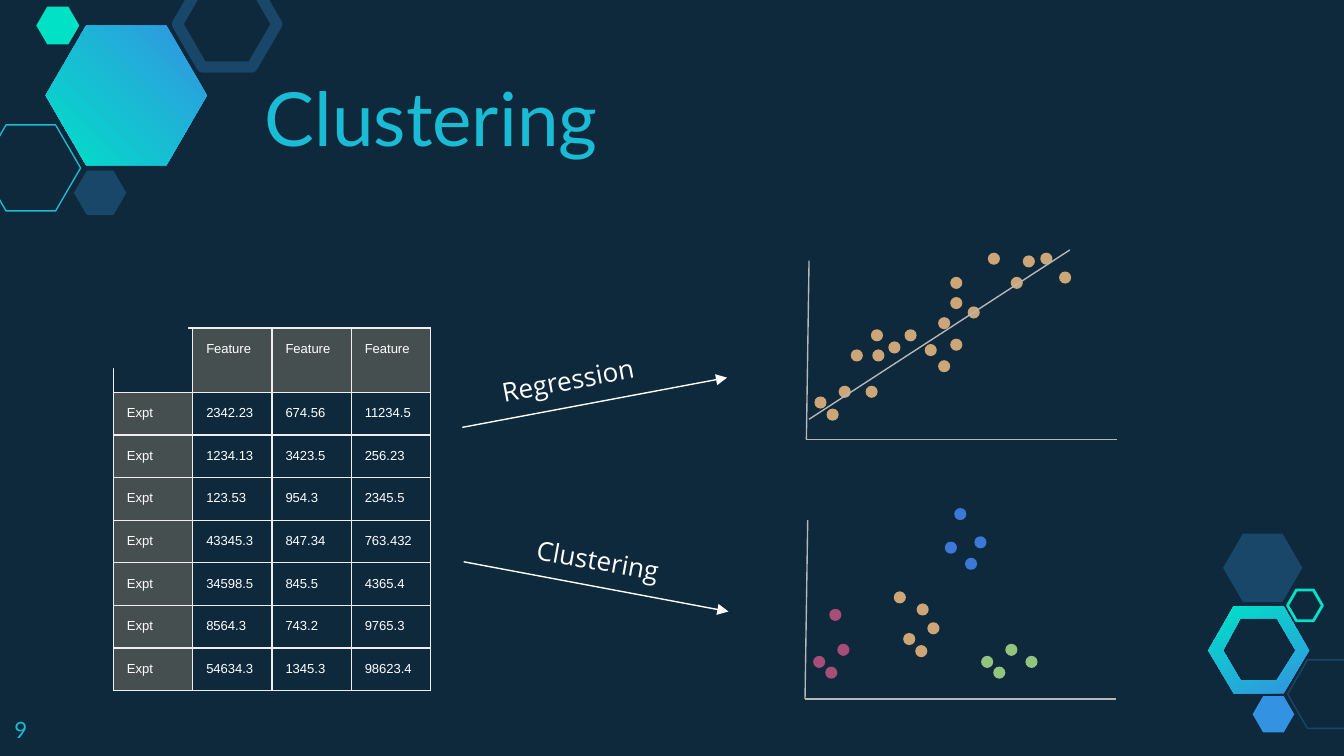
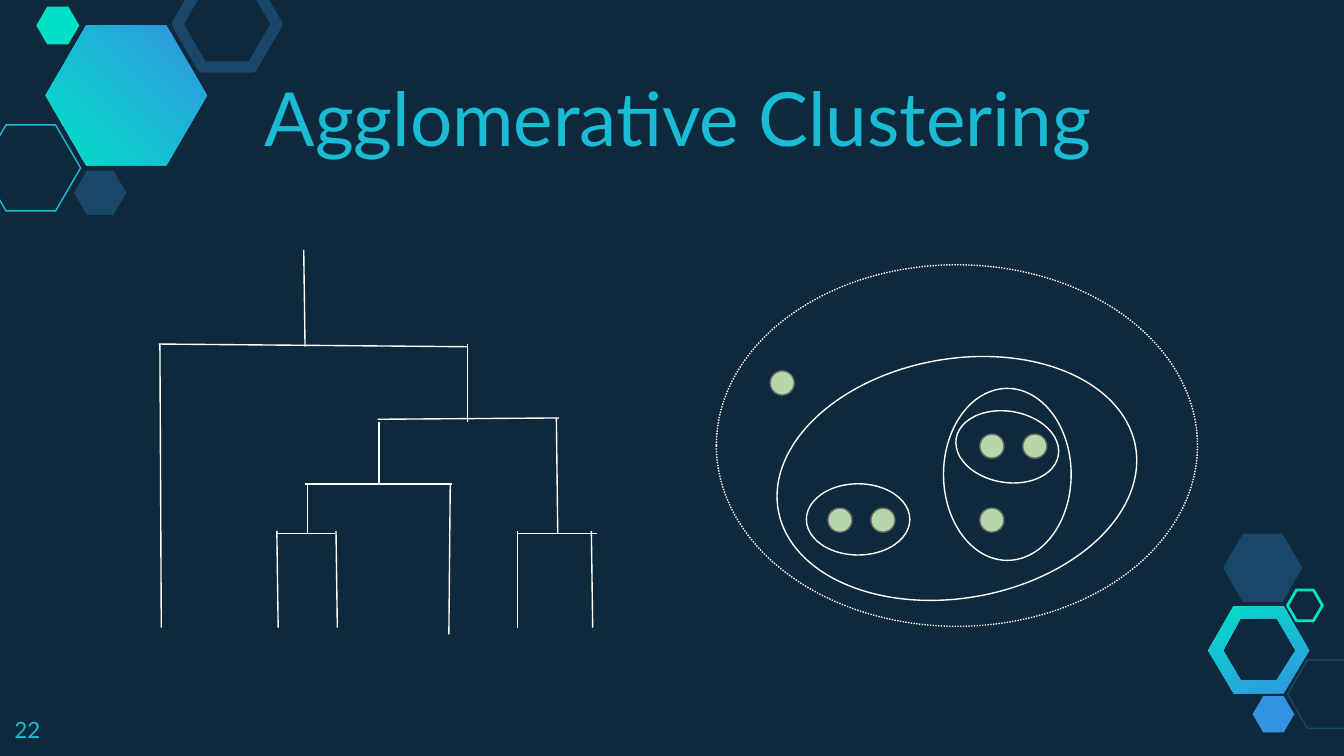
"""Build two slides on clustering: method comparison and agglomerative merging."""
from lxml.etree import SubElement
from pptx import Presentation
from pptx.dml.color import RGBColor
from pptx.enum.dml import MSO_LINE as Dash
from pptx.enum.shapes import MSO_CONNECTOR as Wire, MSO_SHAPE as Kind
from pptx.enum.text import MSO_ANCHOR as Anchor, MSO_AUTO_SIZE as Fit, PP_ALIGN as Align
from pptx.oxml.ns import qn
from pptx.util import Inches, Pt

NAVY = RGBColor(0x0E, 0x29, 0x3C)
STEEL = RGBColor(0x18, 0x47, 0x69)
CYAN = RGBColor(0x19, 0xBB, 0xD5)
TEAL = RGBColor(0x00, 0xE1, 0xC6)
BLUE = RGBColor(0x33, 0x93, 0xE2)
WHITE = RGBColor(0xFF, 0xFF, 0xFF)
PALE = RGBColor(0xEF, 0xEF, 0xEF)
SILVER = RGBColor(0xB7, 0xB7, 0xB7)
GREY = RGBColor(0x66, 0x66, 0x66)
TAN = RGBColor(0xCC, 0xA6, 0x77)
SAND = RGBColor(0xE9, 0xBD, 0x87)
PLUM = RGBColor(0xA6, 0x4D, 0x79)
ROYAL = RGBColor(0x3C, 0x78, 0xD8)
GREEN = RGBColor(0x93, 0xC4, 0x7D)
MINT = RGBColor(0xB6, 0xD7, 0xA8)

prs = Presentation()
prs.slide_width, prs.slide_height = Inches(10), Inches(5.625)
UNIT = prs.slide_width // 100


def draw(slide, kind, spot, fill=None, edge=None, wide=0.75, turn=0):
    """Add a preset shape at a spot on the 100-column grid."""
    shape = slide.shapes.add_shape(kind, *[round(n * UNIT) for n in spot])
    shape.shadow.inherit = False
    shape.rotation = turn
    if fill is None:
        shape.fill.background()
    else:
        shape.fill.solid()
        shape.fill.fore_color.rgb = fill
    if edge is None:
        shape.line.fill.background()
    else:
        shape.line.color.rgb = edge
        shape.line.width = Pt(wide)
    return shape


def link(slide, ends, ink, arrow=False):
    """Add a thin straight line between two grid points."""
    line = slide.shapes.add_connector(Wire.STRAIGHT, *[round(n * UNIT) for n in ends])
    line.line.color.rgb = ink
    line.line.width = Pt(0.75)
    props = line.element.spPr
    if arrow:
        SubElement(props.find(qn("a:ln")), qn("a:tailEnd"), type="triangle")
    SubElement(props, qn("a:effectLst"))


layout = prs.slide_layouts[5]
layout.background.fill.solid()
layout.background.fill.fore_color.rgb = NAVY
first, second = [prs.slides.add_slide(layout) for n in range(2)]

pen = None
for wide, high in [(37.5, 32.5), (27, 23)]:
    ring = [(936.5 + wide * x, 483.5 + high * y)
            for x, y in [(-1, 0), (-.5, -1), (.5, -1), (1, 0), (.5, 1), (-.5, 1)]]
    if pen is None:
        pen = first.shapes.build_freeform(*ring[0], scale=UNIT / 10)
    else:
        pen.move_to(*ring[0])
    pen.add_line_segments(ring[1:], close=True)
donut = pen.convert_to_shape()
donut.shadow.inherit = False
donut.line.fill.background()
gem = draw(first, Kind.HEXAGON, (3.4, 1.9, 12, 10.4))
for shape, angle in [(donut, 116), (gem, 225)]:
    shape.fill.gradient()
    shape.fill.gradient_angle = angle
    for stop, ink in zip(shape.fill.gradient_stops, [BLUE, TEAL]):
        stop.color.rgb = ink

decor = [donut, gem]
for spot, fill, edge, wide in [
    ((-1.4, 9.3, 7.4, 6.4), None, CYAN, 0.75),
    ((5.5, 12.7, 3.9, 3.3), STEEL, None, 0),
    ((13.2, -1.4, 7.4, 6.4), None, STEEL, 6),
    ((2.7, 0.5, 3.2, 2.8), TEAL, None, 0),
    ((95.8, 49.1, 5.9, 5.1), None, STEEL, 0.75),
    ((93.2, 51.8, 3.1, 2.7), BLUE, None, 0),
    ((91, 39.7, 5.9, 5.1), STEEL, None, 0),
    ((95.8, 43.9, 2.6, 2.3), None, TEAL, 1.5),
]:
    decor.append(draw(first, Kind.HEXAGON, spot, fill, edge, wide))
for shape in decor[1:]:
    shape.adjustments[0] = 0.29
for n, shape in enumerate(decor):
    shape.element.nvSpPr.cNvPr.set("id", str(100 + n))
    layout.shapes.element.insert(2 + n, shape.element)

for slide, text, top in [(first, "Clustering", 6), (second, "Agglomerative Clustering", 3.9)]:
    title = slide.shapes.title
    title.left, title.top, title.width, title.height = [
        round(n * UNIT) for n in (18.7, top, 77.8, 13.05 - top)]
    frame = title.text_frame
    frame.text = text
    frame.auto_size = Fit.NONE
    frame.vertical_anchor = Anchor.BOTTOM
    frame.margin_top = frame.margin_bottom = UNIT
    frame.paragraphs[0].alignment = Align.LEFT
    font = frame.paragraphs[0].runs[0].font
    font.name, font.size, font.color.rgb = "Lato", Pt(40), CYAN

for slide, text, spot, turn, face, size, ink, align in [
    (first, "9", (0.1, 52.3, 6, 3.9), 0, "Lato", 12, CYAN, Align.LEFT),
    (second, "22", (0.1, 52.3, 6, 3.9), 0, "Lato", 12, CYAN, Align.LEFT),
    (first, "Regression", (35.9, 26.1, 12.4, 2.6), 349.4, "Open Sans", 14, WHITE, Align.CENTER),
    (first, "Clustering", (36.9, 39.5, 15.5, 2.6), 10.2, "Open Sans", 14, WHITE, Align.CENTER),
]:
    label = slide.shapes.add_textbox(*[round(n * UNIT) for n in spot])
    label.rotation = turn
    frame = label.text_frame
    frame.word_wrap = True
    frame.margin_top = frame.margin_bottom = UNIT
    frame.text = text
    frame.paragraphs[0].alignment = align
    font = frame.paragraphs[0].runs[0].font
    font.name, font.size, font.color.rgb = face, Pt(size), ink

for ends in [(34.4, 31.8, 54.1, 28.1), (34.5, 41.8, 54.2, 45.5)]:
    link(first, ends, WHITE, arrow=True)
for ends in [
    (60, 32.7, 60.2, 19.4), (60, 32.7, 83.1, 32.7),
    (59.9, 52, 60.1, 38.7), (59.9, 52, 83, 52),
]:
    link(first, ends, SILVER)

clouds = [
    (TAN, [(70.7, 20.6), (70.7, 25.2), (72, 22.8), (69.8, 23.6), (64.8, 24.5),
           (64.9, 26), (64.4, 28.7), (63.3, 26), (67.3, 24.5), (77.4, 18.8),
           (70.7, 22.1), (78.8, 20.2), (73.5, 18.8), (62.4, 28.7), (61.5, 30.4),
           (60.6, 29.5), (75.2, 20.6), (69.8, 26.8), (76.1, 19), (66.1, 25.4),
           (68.8, 25.6)]),
    (PLUM, [(61.7, 45.3), (62.3, 47.9), (61.4, 49.6), (60.5, 48.8)]),
    (ROYAL, [(71, 37.8), (72.5, 39.9), (71.8, 41.5), (70.3, 40.3)]),
    (GREEN, [(76.3, 48.8), (74.8, 47.9), (73.9, 49.6), (73, 48.8)]),
    (TAN, [(68.2, 44.9), (69, 46.3), (68.1, 48), (67.2, 47.1), (66.5, 44)]),
]
for ink, dots in clouds:
    for x, y in dots:
        draw(first, Kind.OVAL, (x, y, 0.9, 0.9), ink)
link(first, (60.2, 31.2, 79.6, 18.6), SILVER)

rows = [
    ["", "Feature", "Feature", "Feature"],
    ["Expt", "2342.23", "674.56", "11234.5"],
    ["Expt", "1234.13", "3423.5", "256.23"],
    ["Expt", "123.53", "954.3", "2345.5"],
    ["Expt", "43345.3", "847.34", "763.432"],
    ["Expt", "34598.5", "845.5", "4365.4"],
    ["Expt", "8564.3", "743.2", "9765.3"],
    ["Expt", "54634.3", "1345.3", "98623.4"],
]
spot = (8.45, 24.4, 4 * 5.9, 4.8 + 7 * 3.08)
table = first.shapes.add_table(8, 4, *[round(n * UNIT) for n in spot]).table
table.first_row = table.horz_banding = False
for col in table.columns:
    col.width = round(5.9 * UNIT)
for r, row in enumerate(rows):
    table.rows[r].height = round((3.08 if r else 4.8) * UNIT)
    for c, text in enumerate(row):
        cell = table.cell(r, c)
        props = cell._tc.get_or_add_tcPr()
        for side in ("a:lnL", "a:lnR", "a:lnT", "a:lnB"):
            edge = SubElement(props, qn(side), w=str(Pt(0.75)))
            SubElement(SubElement(edge, qn("a:solidFill")), qn("a:srgbClr"), val=str(PALE))
        if text and (r == 0 or c == 0):
            cell.fill.solid()
            cell.fill.fore_color.rgb = SAND
            tint = props.find(qn("a:solidFill")).find(qn("a:srgbClr"))
            SubElement(tint, qn("a:alpha"), val="26000")
        else:
            cell.fill.background()
        if text:
            cell.margin_left = cell.margin_right = UNIT
            cell.margin_top = cell.margin_bottom = UNIT
            cell.text_frame.text = text
            font = cell.text_frame.paragraphs[0].runs[0].font
            font.name, font.size, font.color.rgb = "Arial", Pt(7), WHITE
draw(first, Kind.RECTANGLE, (5.6, 23.7, 8.4, 3.7), NAVY)

outer = draw(second, Kind.OVAL, (53.3, 19.7, 35.8, 26.9), edge=WHITE)
outer.line.dash_style = Dash.ROUND_DOT
for spot, turn in [
    ((57.7, 26.7, 27, 17.8), 349.9), ((60, 36, 7.7, 5.3), 0),
    ((71.1, 30.6, 7.7, 5.3), 9.4), ((70.2, 28.9, 9.5, 12.8), 0),
]:
    draw(second, Kind.OVAL, spot, edge=WHITE, turn=turn)
for x, y in [(61.6, 37.8), (64.8, 37.8), (72.9, 32.3), (76.1, 32.3), (72.9, 37.8), (57.3, 27.6)]:
    draw(second, Kind.OVAL, (x, y, 1.8, 1.8), MINT, GREY)

for ends in [
    (12, 46.7, 11.9, 25.6), (20.7, 46.7, 20.6, 39.5), (25.1, 46.7, 25, 39.5),
    (33.4, 47.2, 33.5, 36), (38.5, 46.7, 38.5, 39.5), (44.1, 46.7, 44, 39.5),
    (22.7, 25.8, 22.6, 18.6), (24.9, 39.7, 20.5, 39.7), (44.4, 39.7, 38.5, 39.7),
    (22.9, 39.7, 22.9, 36), (33.6, 36, 22.7, 36), (41.5, 39.7, 41.4, 31.1),
    (34.8, 25.8, 11.8, 25.6), (41.6, 31.1, 28.1, 31.2), (34.8, 31.4, 34.8, 25.6),
    (28.2, 36, 28.2, 31.4),
]:
    link(second, ends, WHITE)

prs.save("out.pptx")
